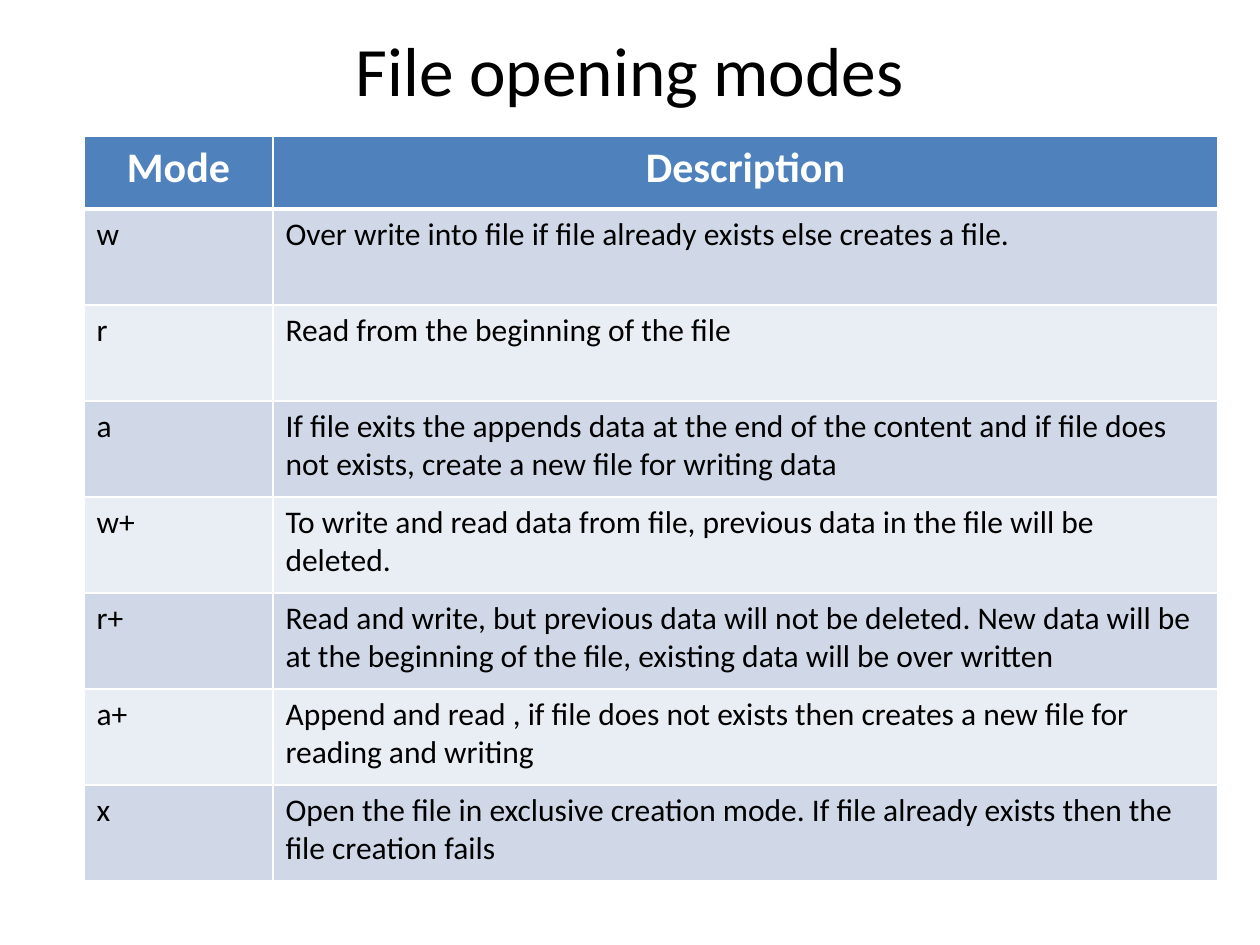
"""Build the slide that lists the file opening modes."""
from dataclasses import dataclass

import pptx
import pptx.dml.color
import pptx.enum.text
import pptx.oxml
import pptx.oxml.ns
import pptx.util

EMU_PER_PX = 914400 / 126
FONT = "Calibri"
COLORS = {
    "black": "000000",
    "white": "FFFFFF",
    "header": "4F81BD",
    "odd": "D0D8E8",
    "even": "E9EDF4",
}
COLUMN_WIDTHS = (189, 945)
HEADER_HEIGHT = 73
ROW_HEIGHT = 96


@dataclass
class TextStyle:
    size: float
    color: str
    bold: bool = False
    centered: bool = False


@dataclass
class ModeRow:
    mode: str
    description: str


TITLE_STYLE = TextStyle(39.6, "black", centered=True)
HEADER_STYLE = TextStyle(24, "white", bold=True, centered=True)
BODY_STYLE = TextStyle(18, "black")

HEADER = ModeRow("Mode", "Description")
MODES = [
    ModeRow("w", "Over write into file if file already exists else creates a file."),
    ModeRow("r", "Read from the beginning of the file"),
    ModeRow("a", "If file exits the appends data at the end of the content and if file "
                 "does not exists, create a new file for writing data"),
    ModeRow("w+", "To write and read data from file, previous data in the file will be deleted."),
    ModeRow("r+", "Read and write, but previous data will not be deleted. New data will be "
                  "at the beginning of the file, existing data will be over written"),
    ModeRow("a+", "Append and read , if file does not exists then creates a new file for "
                  "reading and writing"),
    ModeRow("x", "Open the file in exclusive creation mode. If file already exists then the "
                 "file creation fails"),
]


def px(length: int) -> pptx.util.Emu:
    return pptx.util.Emu(round(length * EMU_PER_PX))


def rgb(name: str) -> pptx.dml.color.RGBColor:
    return pptx.dml.color.RGBColor.from_string(COLORS[name])


def write_text(text_frame, text: str, style: TextStyle) -> None:
    text_frame.word_wrap = True
    paragraph = text_frame.paragraphs[0]
    paragraph.text = text
    alignment = pptx.enum.text.PP_ALIGN
    paragraph.alignment = alignment.CENTER if style.centered else alignment.LEFT
    paragraph.font.name = FONT
    paragraph.font.size = pptx.util.Pt(style.size)
    paragraph.font.bold = style.bold
    paragraph.font.color.rgb = rgb(style.color)


def add_borders(cell, top: int, bottom: int) -> None:
    properties = cell._tc.get_or_add_tcPr()
    for side, points in (("L", 1), ("R", 1), ("T", top), ("B", bottom)):
        properties.append(pptx.oxml.parse_xml(
            f'<a:ln{side} {pptx.oxml.ns.nsdecls("a")} w="{pptx.util.Pt(points)}">'
            f'<a:solidFill><a:srgbClr val="{COLORS["white"]}"/></a:solidFill></a:ln{side}>'
        ))


def add_title(slide, text: str) -> None:
    shape = slide.shapes.add_textbox(px(63), px(21), px(1134), px(95))
    shape.text_frame.vertical_anchor = pptx.enum.text.MSO_ANCHOR.MIDDLE
    write_text(shape.text_frame, text, TITLE_STYLE)


def fill_row(table, index: int, row: ModeRow) -> None:
    is_header = index == 0
    table.rows[index].height = px(HEADER_HEIGHT if is_header else ROW_HEIGHT)
    color = "header" if is_header else ("odd" if index % 2 else "even")
    style = HEADER_STYLE if is_header else BODY_STYLE
    for cell, text in zip(table.rows[index].cells, (row.mode, row.description)):
        add_borders(cell, top=3 if index == 1 else 1, bottom=3 if is_header else 1)
        cell.fill.solid()
        cell.fill.fore_color.rgb = rgb(color)
        write_text(cell.text_frame, text, style)


def add_modes_table(slide, rows: list[ModeRow]) -> None:
    height = HEADER_HEIGHT + ROW_HEIGHT * (len(rows) - 1)
    table = slide.shapes.add_table(
        len(rows), len(COLUMN_WIDTHS), px(84), px(136), px(sum(COLUMN_WIDTHS)), px(height)
    ).table
    for column, width in zip(table.columns, COLUMN_WIDTHS):
        column.width = px(width)
    for index, row in enumerate(rows):
        fill_row(table, index, row)


def main() -> None:
    presentation = pptx.Presentation()
    presentation.slide_width = px(1260)
    presentation.slide_height = px(945)
    slide = presentation.slides.add_slide(presentation.slide_layouts[6])
    add_title(slide, "File opening modes")
    add_modes_table(slide, [HEADER, *MODES])
    presentation.save("out.pptx")


if __name__ == "__main__":
    main()
